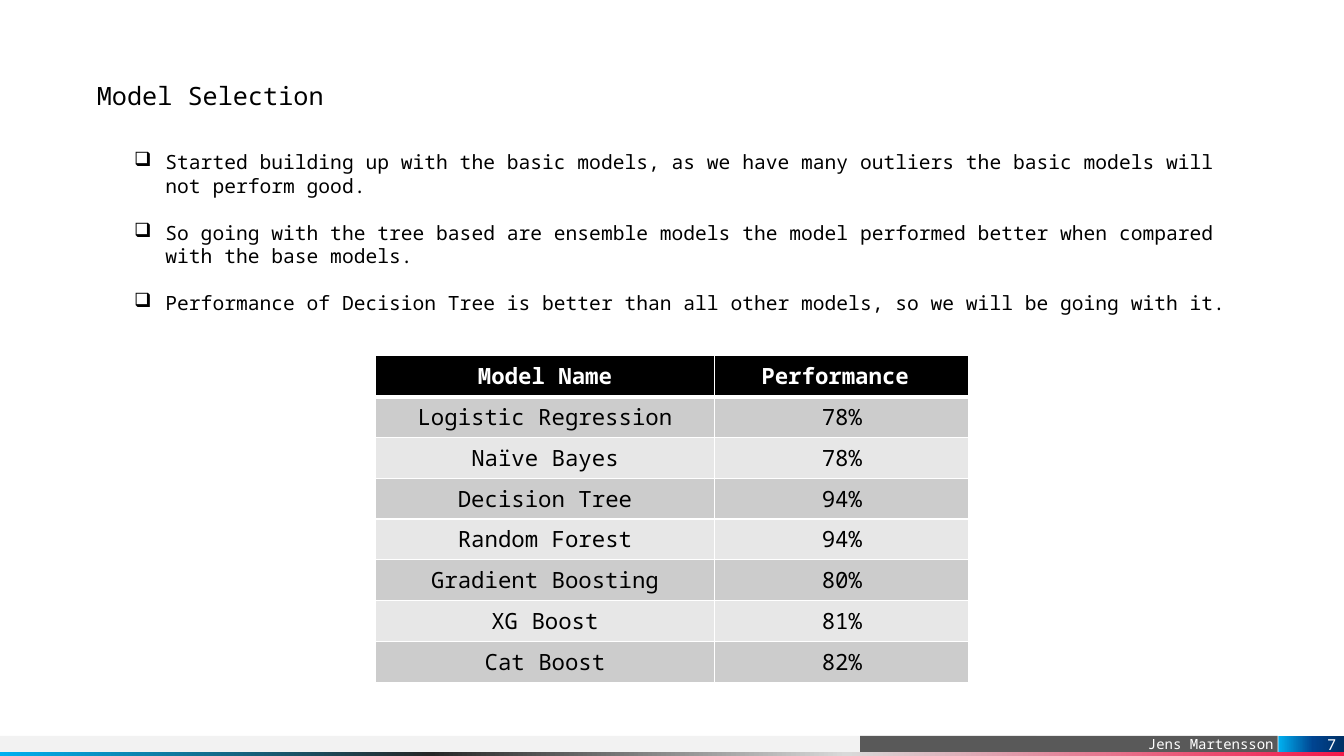
from lxml import etree
from pptx import Presentation
from pptx.dml.color import RGBColor
from pptx.enum.shapes import MSO_SHAPE
from pptx.enum.text import MSO_ANCHOR, MSO_AUTO_SIZE, PP_ALIGN
from pptx.oxml.ns import qn
from pptx.util import Inches, Pt

RECT = MSO_SHAPE.RECTANGLE
TOP, MIDDLE, BOTTOM = MSO_ANCHOR.TOP, MSO_ANCHOR.MIDDLE, MSO_ANCHOR.BOTTOM
LEFT, CENTER, RIGHT = PP_ALIGN.LEFT, PP_ALIGN.CENTER, PP_ALIGN.RIGHT
NO_FIT = MSO_AUTO_SIZE.NONE

POINTS = [
    "Started building up with the basic models, as we have many outliers "
    "the basic models will not perform good.",
    "So going with the tree based are ensemble models the model performed "
    "better when compared with the base models.",
    "Performance of Decision Tree is better than all other models, "
    "so we will be going with it.",
]
SCORES = [
    ("Model Name", "Performance "),
    ("Logistic Regression", "78%"),
    ("Naïve Bayes", "78%"),
    ("Decision Tree", "94%"),
    ("Random Forest", "94%"),
    ("Gradient Boosting", "80%"),
    ("XG Boost", "81%"),
    ("Cat Boost", "82%"),
]
STRIP = [(0, "00B0F0"), (32, "262626"), (63, "D9D9D9"), (100, "F2194A")]
BADGE = [(0, "00B0F0"), (53, "004490"), (100, "003065")]


def rgb(value):
    return RGBColor.from_string(value)


def write(p, text, font="Noto Sans Mono", size=14, color="000000", bold=False,
          align=LEFT, leading=None, before=0):
    p.alignment = align
    p.space_before = Pt(before)
    if leading:
        p.line_spacing = Pt(leading)
    r = p.add_run()
    r.text = text
    r.font.name, r.font.size, r.font.bold = font, Pt(size), bold
    r.font.color.rgb = rgb(color)


def add_color(parent, color):
    etree.SubElement(parent, qn("a:srgbClr"), val=color)


class Deck:
    """Builds slide elements from lengths given as percentages of the slide."""

    def __init__(self, width, height):
        self.prs = Presentation()
        self.prs.slide_width, self.prs.slide_height = Inches(width), Inches(height)
        self.s = self.prs.slides.add_slide(self.prs.slide_layouts[5])

    def x(self, share):
        return round(self.prs.slide_width * share / 100)

    def y(self, share):
        return round(self.prs.slide_height * share / 100)

    def box(self, x, y, w, h):
        return self.x(x), self.y(y), self.x(w), self.y(h)

    def frame(self, sp, anchor=TOP, left=0.75, top=0.67, right=0.75, bottom=0.67):
        tf = sp.text_frame
        tf.word_wrap, tf.auto_size, tf.vertical_anchor = True, NO_FIT, anchor
        tf.margin_left, tf.margin_right = self.x(left), self.x(right)
        tf.margin_top, tf.margin_bottom = self.y(top), self.y(bottom)
        return tf

    def title(self, text, *place):
        sp = self.s.shapes.title
        sp.left, sp.top, sp.width, sp.height = self.box(*place)
        write(self.frame(sp, top=0.9).paragraphs[0], text, size=18, leading=21.6)

    def bar(self, *place, fill=None, stops=()):
        sp = self.s.shapes.add_shape(RECT, *self.box(*place))
        sp.shadow.inherit = False
        sp.line.fill.background()
        if fill:
            sp.fill.solid()
            sp.fill.fore_color.rgb = rgb(fill)
        else:
            sp.fill.gradient()
            sp.fill.gradient_angle = 0
            gs_list = sp._element.spPr.find(".//" + qn("a:gsLst"))
            for gs in list(gs_list):
                gs_list.remove(gs)
            for pos, color in stops:
                add_color(etree.SubElement(gs_list, qn("a:gs"), pos=str(pos * 1000)), color)
        return sp

    def label(self, sp, text, anchor, right, **style):
        tf = self.frame(sp, anchor, left=0, top=0, right=right, bottom=0)
        write(tf.paragraphs[0], text, color="FFFFFF", align=RIGHT, **style)

    def bullets(self, items, *place, indent=2.33, leading=16.8):
        sp = self.s.shapes.add_textbox(*self.box(*place))
        tf = self.frame(sp, top=4.8)
        for i, item in enumerate(items):
            p = tf.add_paragraph() if i else tf.paragraphs[0]
            write(p, item, leading=leading, before=leading if i else 0)
            pPr = p._p.get_or_add_pPr()
            pPr.set("marL", str(self.x(indent)))
            pPr.set("indent", str(-self.x(indent)))
            etree.SubElement(pPr, qn("a:buChar"), char="❑")

    def borders(self, cell, **widths):
        tcPr = cell._tc.get_or_add_tcPr()
        for i, (side, width) in enumerate(widths.items()):
            ln = etree.Element(qn("a:ln" + side), w=str(Pt(width)))
            add_color(etree.SubElement(ln, qn("a:solidFill")), "FFFFFF")
            tcPr.insert(i, ln)

    def table(self, rows, x, y, widths, row_height):
        place = self.box(x, y, sum(widths), row_height * len(rows))
        table = self.s.shapes.add_table(len(rows), len(widths), *place).table
        for column, width in zip(table.columns, widths):
            column.width = self.x(width)
        for i, row in enumerate(rows):
            head = i == 0
            fill = "000000" if head else ("E7E7E7", "CCCCCC")[i % 2]
            for j, text in enumerate(row):
                cell = table.cell(i, j)
                cell.fill.solid()
                cell.fill.fore_color.rgb = rgb(fill)
                self.borders(cell, L=1, R=1, T=3 if i == 1 else 1, B=3 if head else 1)
                write(cell.text_frame.paragraphs[0], text, size=16, bold=head,
                      color="FFFFFF" if head else "000000", align=CENTER)


def main():
    deck = Deck(13.33, 7.5)
    deck.bar(0, 97.33, 77.1, 2.13, fill="F2F2F2")
    author = deck.bar(64, 97.33, 31.06, 2.13, fill="595959")
    deck.label(author, "Jens Martensson", BOTTOM, 0.3, size=10)
    deck.bar(0, 99.47, 100, 0.53, stops=STRIP)
    number = deck.bar(95.12, 97.33, 4.88, 2.13, stops=BADGE)
    deck.label(number, "7", MIDDLE, 0.6, size=12, font="Calibri")
    deck.title("Model Selection", 6.45, 9.73, 26.03, 5.33)
    deck.bullets(POINTS, 9.23, 15.07, 83.57, 27.33)
    deck.table(SCORES, 27.91, 47.07, (25.28, 18.9), 5.4)
    deck.prs.save("out.pptx")


if __name__ == "__main__":
    main()
